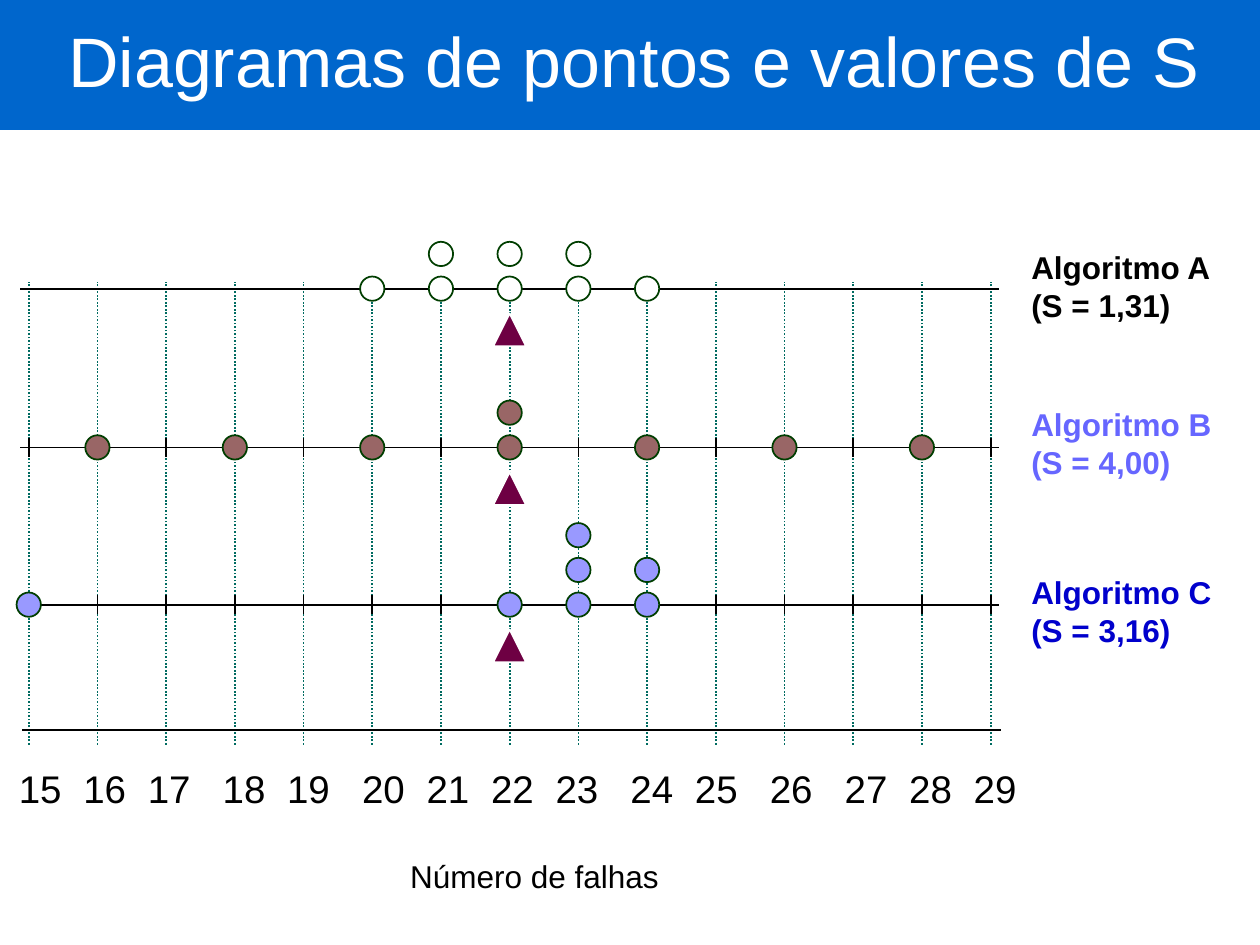
from lxml import etree
from pptx import Presentation
from pptx.dml.color import RGBColor
from pptx.enum.dml import MSO_LINE
from pptx.enum.shapes import MSO_CONNECTOR, MSO_SHAPE
from pptx.enum.text import MSO_ANCHOR, PP_ALIGN
from pptx.oxml.ns import qn
from pptx.util import Cm, Pt

STRAIGHT = MSO_CONNECTOR.STRAIGHT
RECTANGLE, OVAL = MSO_SHAPE.RECTANGLE, MSO_SHAPE.OVAL
TRIANGLE = MSO_SHAPE.ISOSCELES_TRIANGLE
DOTTED = MSO_LINE.ROUND_DOT
TOP, BOTTOM = MSO_ANCHOR.TOP, MSO_ANCHOR.BOTTOM
LEFT, CENTER = PP_ALIGN.LEFT, PP_ALIGN.CENTER

TITLE = "Diagramas de pontos e valores de S"
AXIS_TITLE = "Número de falhas"
FIRST, LAST = 15, 29
# Each count maps a number of failures to how many dots are stacked there.
ALGORITHMS = [
    dict(label=["Algoritmo A", "(S = 1,31)"], color="000000", dot="FFFFFF",
         y=5.82, label_y=4.88, ticks=False, mean=22,
         counts={20: 1, 21: 2, 22: 2, 23: 2, 24: 1}),
    dict(label=["Algoritmo B", "(S = 4,00)"], color="6666FF", dot="996666",
         y=9.02, label_y=8.05, ticks=True, mean=22,
         counts={16: 1, 18: 1, 20: 1, 22: 2, 24: 1, 26: 1, 28: 1}),
    dict(label=["Algoritmo C", "(S = 3,16)"], color="0000CC", dot="9999FF",
         y=12.19, label_y=11.43, ticks=True, mean=22,
         counts={15: 1, 22: 1, 23: 3, 24: 2}),
]

# All lengths are in centimetres.
X_FIRST, X_LAST = 0.58, 19.97
AXIS_LEFT, AXIS_RIGHT, AXIS_Y = 0.41, 20.14, 14.71
GRID_TOP, GRID_BOTTOM = 5.69, 15.01
TICK = 0.19
DOT, STACK = 0.49, 0.7
MARKER, MARKER_DROP = 0.66, 0.5
NARROW_GAP, WIDE_GAP = 1.3, 1.51
AFTER_WIDE_GAP = {18, 20, 24, 26, 27}


def color(text):
    return RGBColor.from_string(text)


def value_x(value):
    return X_FIRST + (X_LAST - X_FIRST) * (value - FIRST) / (LAST - FIRST)


def add_line(page, x1, y1, x2, y2, stroke="000000", dash=None):
    line = page.shapes.add_connector(STRAIGHT, Cm(x1), Cm(y1), Cm(x2), Cm(y2))
    line.line.color.rgb = color(stroke)
    line.line.width = Pt(1)
    if dash is not None:
        line.line.dash_style = dash
    etree.SubElement(line._element.spPr, qn("a:effectLst"))


def add_figure(page, kind, x, y, width, height, fill, stroke, weight=1):
    shape = page.shapes.add_shape(kind, Cm(x), Cm(y), Cm(width), Cm(height))
    shape.shadow.inherit = False
    shape.fill.solid()
    shape.fill.fore_color.rgb = color(fill)
    shape.line.color.rgb = color(stroke)
    shape.line.width = Pt(weight)


def add_text(page, lines, x, y, width, height, size=18, ink="000000",
             bold=False, align=LEFT, anchor=TOP, tabs=()):
    box = page.shapes.add_textbox(Cm(x), Cm(y), Cm(width), Cm(height))
    frame = box.text_frame
    frame.word_wrap = True
    frame.margin_right = Cm(0.1)
    frame.vertical_anchor = anchor
    for index, line in enumerate(lines):
        para = frame.paragraphs[0] if index == 0 else frame.add_paragraph()
        para.alignment = align
        if tabs:
            stops = etree.SubElement(para._p.get_or_add_pPr(), qn("a:tabLst"))
            for stop in tabs:
                etree.SubElement(stops, qn("a:tab"), pos=str(Cm(stop)), algn="l")
        span = para.add_run()
        span.text = line
        span.font.name = "Arial"
        span.font.size = Pt(size)
        span.font.bold = bold
        span.font.color.rgb = color(ink)


def add_grid(page):
    for value in range(FIRST, LAST + 1):
        x = value_x(value)
        add_line(page, x, GRID_BOTTOM, x, GRID_TOP, stroke="006B61", dash=DOTTED)
    add_line(page, AXIS_LEFT + 0.04, AXIS_Y, AXIS_RIGHT + 0.04, AXIS_Y)


def add_axis_labels(page):
    values = range(FIRST, LAST + 1)
    tabs, position = [], 0
    for value in values[1:]:
        position += WIDE_GAP if value in AFTER_WIDE_GAP else NARROW_GAP
        tabs.append(position)
    add_text(page, ["\t".join(map(str, values))], 0.13, 15.29, 20.6, 1.17,
             size=22, tabs=tabs)
    add_text(page, [AXIS_TITLE], 8.02, 17.15, 5.52, 1.02)


def add_dot_plot(page, row):
    y = row["y"]
    add_line(page, AXIS_LEFT, y, AXIS_RIGHT, y)
    if row["ticks"]:
        for value in range(FIRST, LAST + 1):
            add_line(page, value_x(value), y + TICK, value_x(value), y - TICK)
    for value, count in row["counts"].items():
        for level in range(count):
            add_figure(page, OVAL, value_x(value) - DOT / 2,
                       y - DOT / 2 - level * STACK, DOT, DOT,
                       row["dot"], "003E00")
    add_figure(page, TRIANGLE, value_x(row["mean"]) - MARKER / 2,
               y + MARKER_DROP, MARKER, MARKER, "6E0043", "FFFFFF")
    add_text(page, row["label"], 20.54, row["label_y"], 4.14, 1.78,
             ink=row["color"], bold=True)


def main():
    deck = Presentation()
    deck.slide_width, deck.slide_height = Cm(25.4), Cm(19.05)
    page = deck.slides.add_slide(deck.slide_layouts[6])
    add_figure(page, RECTANGLE, 0, 0, 25.4, 2.59, "0066CC", "0066CC", weight=2)
    add_grid(page)
    add_axis_labels(page)
    for row in ALGORITHMS:
        add_dot_plot(page, row)
    add_text(page, [TITLE], 0, 0, 25.4, 2.18, size=40, ink="FFFFFF",
             align=CENTER, anchor=BOTTOM)
    deck.save("out.pptx")


if __name__ == "__main__":
    main()
